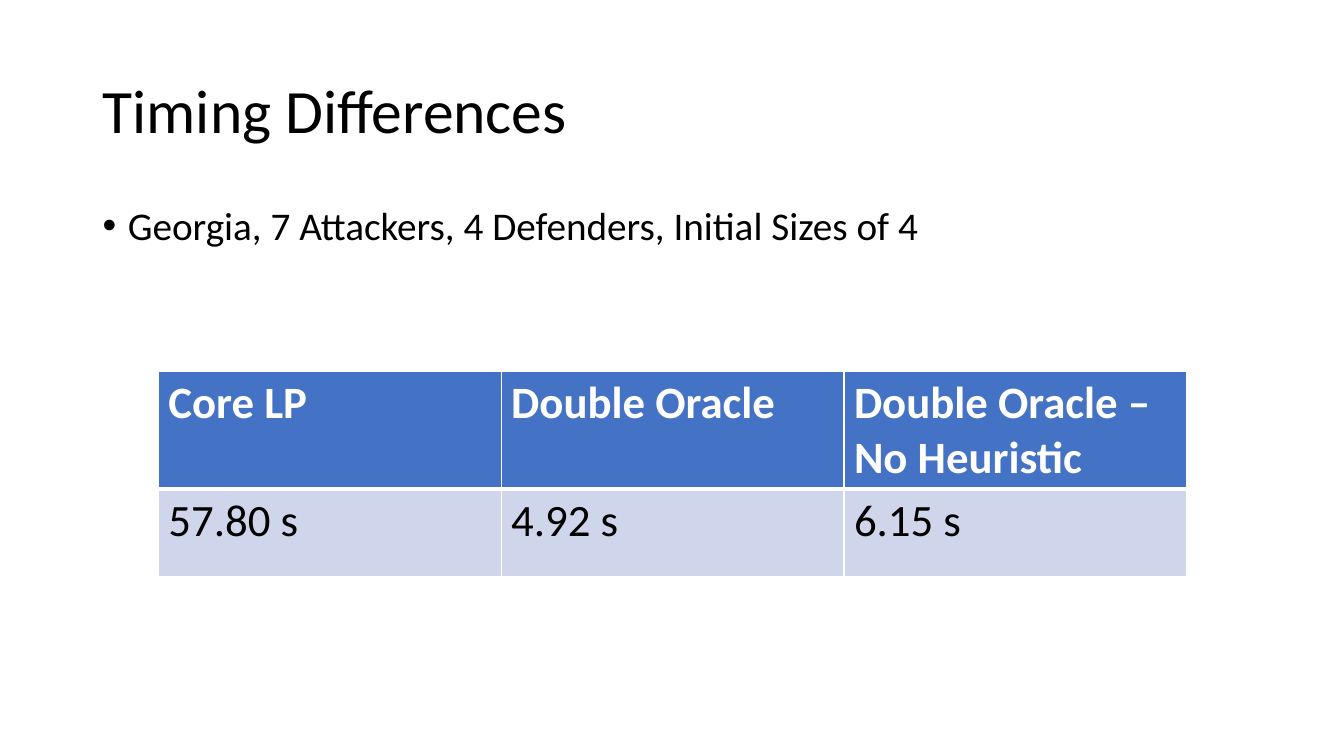
"""Build the slide comparing solver timings."""
from dataclasses import dataclass

from lxml.etree import SubElement
from pptx import Presentation
from pptx.dml.color import RGBColor
from pptx.enum.text import MSO_ANCHOR as Anchor
from pptx.oxml.ns import qn
from pptx.util import Inches, Pt

COLORS = {"text": "000000", "white": "FFFFFF", "header": "4472C4", "band": "CFD5EA"}
FONT = "Calibri"


@dataclass
class TextItem:
    text: str
    top: float
    height: float
    size: int
    anchor: Anchor
    space_before: int = 0
    bulleted: bool = False


@dataclass
class TableRow:
    values: tuple[str, ...]
    height: float
    fill: str
    color: str
    bold: bool
    top_line: int
    bottom_line: int


TEXT_ITEMS = [
    TextItem("Timing Differences", 0.4, 1.45, 44, Anchor.MIDDLE),
    TextItem("Georgia, 7 Attackers, 4 Defenders, Initial Sizes of 4",
             2, 4.76, 28, Anchor.TOP, 10, True),
]
TIMING_ROWS = [
    TableRow(("Core LP", "Double Oracle", "Double Oracle – No Heuristic"),
             1.17, "header", "white", True, 1, 3),
    TableRow(("57.80 s", "4.92 s", "6.15 s"), 0.87, "band", "text", False, 3, 1),
]


def style_text(para, size: int, color: str, bold: bool = False) -> None:
    for span in para.runs:
        span.font.name = FONT
        span.font.size = Pt(size)
        span.font.bold = bold
        span.font.color.rgb = RGBColor.from_string(COLORS[color])


def add_bullet(para) -> None:
    properties = para._p.get_or_add_pPr()
    properties.set("marL", str(Inches(0.25)))
    properties.set("indent", str(Inches(-0.25)))
    SubElement(properties, qn("a:buFont"), typeface="Arial")
    SubElement(properties, qn("a:buChar"), char="•")


def add_text(slide, item: TextItem) -> None:
    box = slide.shapes.add_textbox(
        Inches(0.92), Inches(item.top), Inches(11.5), Inches(item.height))
    frame = box.text_frame
    frame.word_wrap = True
    frame.vertical_anchor = item.anchor
    frame.text = item.text
    para = frame.paragraphs[0]
    para.line_spacing = 0.9
    para.space_before = Pt(item.space_before)
    if item.bulleted:
        add_bullet(para)
    style_text(para, item.size, "text")


def add_borders(cell, top: int, bottom: int) -> None:
    properties = cell._tc.get_or_add_tcPr()
    for side, width in {"L": 1, "R": 1, "T": top, "B": bottom}.items():
        line = SubElement(properties, qn(f"a:ln{side}"), w=str(Pt(width)))
        fill = SubElement(line, qn("a:solidFill"))
        SubElement(fill, qn("a:srgbClr"), val=COLORS["white"])


def add_timing_table(slide, rows: list[TableRow]) -> None:
    table = slide.shapes.add_table(
        len(rows), len(rows[0].values), Inches(1.57), Inches(3.68),
        Inches(10.2), Inches(sum(row.height for row in rows))).table
    for row_index, row in enumerate(rows):
        table.rows[row_index].height = Inches(row.height)
        for column_index, value in enumerate(row.values):
            cell = table.cell(row_index, column_index)
            add_borders(cell, row.top_line, row.bottom_line)
            cell.fill.solid()
            cell.fill.fore_color.rgb = RGBColor.from_string(COLORS[row.fill])
            cell.text_frame.text = value
            style_text(cell.text_frame.paragraphs[0], 32, row.color, row.bold)


def main() -> None:
    deck = Presentation()
    deck.slide_width = Inches(13.33)
    deck.slide_height = Inches(7.5)
    page = deck.slides.add_slide(deck.slide_layouts[6])
    for item in TEXT_ITEMS:
        add_text(page, item)
    add_timing_table(page, TIMING_ROWS)
    deck.save("out.pptx")


if __name__ == "__main__":
    main()
